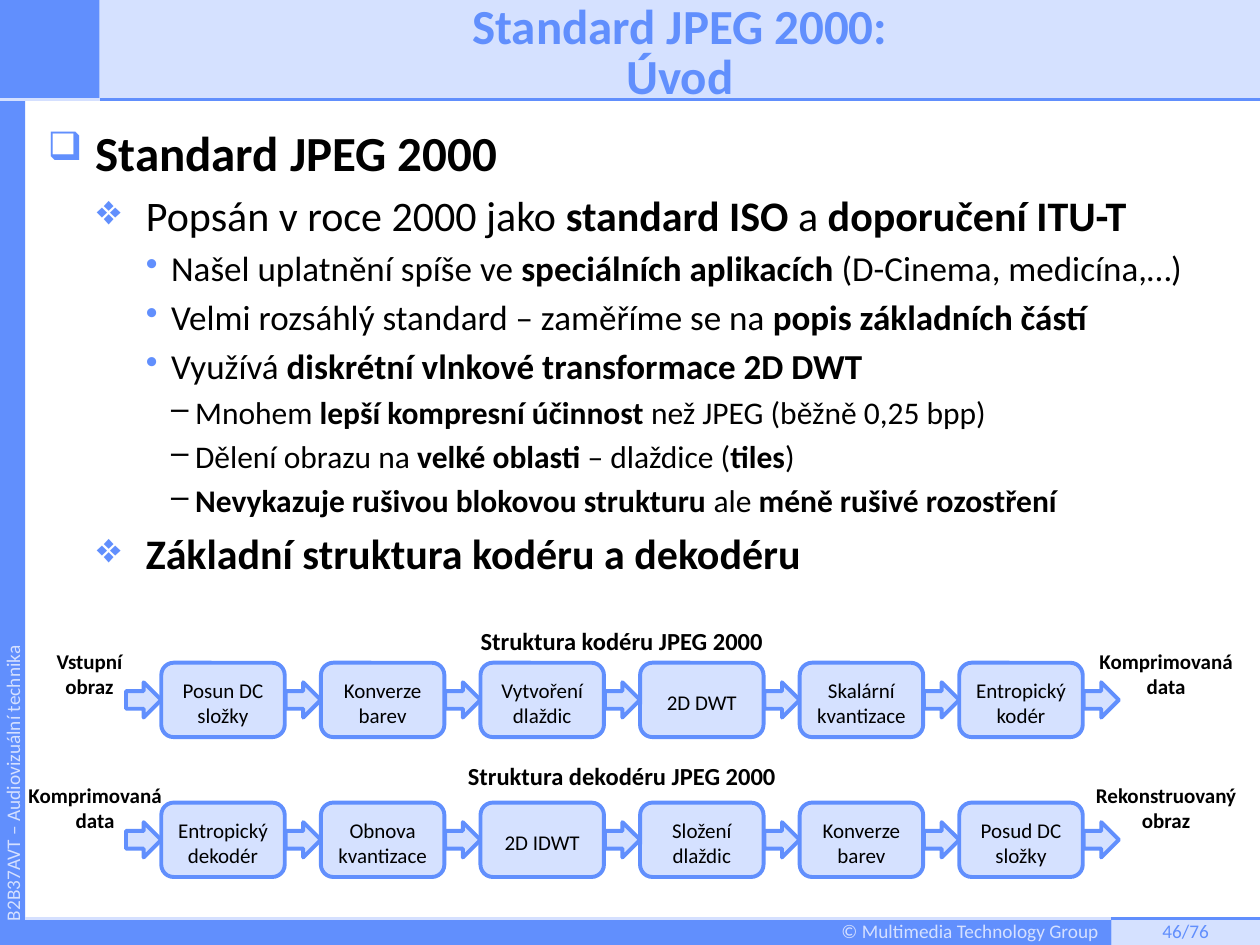
from lxml import etree
from pptx import Presentation
from pptx import util as u
from pptx.dml.color import RGBColor
from pptx.enum import shapes, text
from pptx.oxml import ns

HUE = {"blue": "618FFD", "pale": "D5E1FF", "soft": "D5E0FF", "ink": "000000"}
KIND = shapes.MSO_SHAPE
SIDE = text.PP_ALIGN
MID = text.MSO_ANCHOR.MIDDLE

deck = Presentation()
deck.slide_width, deck.slide_height = u.Inches(10), u.Inches(7.5)
page = deck.slides.add_slide(deck.slide_layouts[6])


def draw(kind, at, fill=None, edge=None):
    """Add a shape, or a text box when there is no kind."""
    spot = [u.Inches(n) for n in at]
    if kind is None:
        return page.shapes.add_textbox(*spot)
    form = page.shapes.add_shape(kind, *spot)
    form.shadow.inherit = False
    form.fill.solid()
    form.fill.fore_color.rgb = RGBColor.from_string(HUE[fill])
    if edge:
        form.line.color.rgb = RGBColor.from_string(HUE[edge])
        form.line.width = u.Pt(2.25)
    else:
        form.line.fill.background()
    return form


def write(form, words, size, hue="ink", bold=False, side=SIDE.CENTER,
          pad=(0.1, 0.05, 0.1, 0.05), hold=text.MSO_ANCHOR.TOP, wrap=True):
    """Fill a frame with one paragraph; a newline becomes a line break."""
    frame = form.text_frame
    frame.word_wrap = wrap
    frame.vertical_anchor = hold
    (frame.margin_left, frame.margin_top,
     frame.margin_right, frame.margin_bottom) = [u.Inches(n) for n in pad]
    para = frame.paragraphs[0]
    para.alignment = side
    for i, line in enumerate(words.split("\n")):
        if i:
            para.add_line_break()
        run = para.add_run()
        run.text = line
        run.font.name = "Calibri"
        run.font.size = u.Pt(size)
        run.font.bold = bold
        run.font.color.rgb = RGBColor.from_string(HUE[hue])
    return para


# Frame of the slide: header, footer and side bar
foot = (0.1, 0, 0.1, 0.02)
draw(KIND.RECTANGLE, (0, 0, 0.79, 0.79), "blue")
draw(KIND.RECTANGLE, (0.79, 0, 9.21, 0.79), "pale")
num = draw(KIND.RECTANGLE, (8.82, 7.3, 1.18, 0.2), "pale")
write(num, "46/76", 11, "blue", pad=foot, hold=MID)
base = draw(KIND.RECTANGLE, (0, 7.3, 8.82, 0.2), "blue")
write(base, "© Multimedia Technology Group", 11, "soft", side=SIDE.RIGHT,
      pad=foot, hold=MID, wrap=False)
bar = draw(KIND.RECTANGLE, (0, 0.79, 0.2, 6.52), "blue")
write(bar, "B2B37AVT – Audiovizuální technika", 11, "soft", side=SIDE.LEFT,
      pad=(0, 0, 0, 0), hold=MID)
bar.text_frame._txBody.bodyPr.set("vert", "vert270")

# Rules along header and footer
for left, right, y, hue in [(0.79, 10, 0.79, "blue"), (0, 0.79, 0.79, "soft"),
                            (8.82, 10, 7.29, "blue"), (0.2, 8.82, 7.29, "soft")]:
    rule = page.shapes.add_connector(
        shapes.MSO_CONNECTOR.STRAIGHT, u.Inches(left), u.Inches(y),
        u.Inches(right), u.Inches(y))
    rule.line.color.rgb = RGBColor.from_string(HUE[hue])
    rule.line.width = u.Pt(2)
    etree.SubElement(rule._element.spPr, ns.qn("a:effectLst"))

# Title
head = write(draw(None, (0.79, 0, 9.21, 0.79)), "Standard JPEG 2000:\nÚvod",
             28, "blue", True, pad=(0.1, 0.08, 0.1, 0), hold=MID)
head.line_spacing = 0.85

# Outline: size, left margin, hang, bullet, bullet colour for each level
ranks = [(28, 0.38, 0.38, "❑", "blue"), (24, 0.78, 0.39, "❖", "blue"),
         (20, 0.98, 0.2, "•", "blue"), (18, 1.17, 0.19, "–", "ink")]
# Pieces between bars are plain and bold in turn
points = [
    (0, "|Standard JPEG 2000"),
    (1, "Popsán v roce 2000 jako |standard ISO| a |doporučení ITU-T"),
    (2, "Našel uplatnění spíše ve |speciálních aplikacích| (D-Cinema, medicína,…)"),
    (2, "Velmi rozsáhlý standard – zaměříme se na |popis základních částí"),
    (2, "Využívá |diskrétní vlnkové transformace 2D DWT"),
    (3, "Mnohem |lepší kompresní účinnost |než JPEG (běžně 0,25 bpp)"),
    (3, "Dělení obrazu na |velké oblasti |– dlaždice (|tiles|)"),
    (3, "|Nevykazuje rušivou blokovou strukturu |ale |méně rušivé rozostření"),
    (1, "|Základní struktura kodéru a dekodéru"),
]
body = draw(None, (0.28, 0.92, 9.51, 6.38)).text_frame
body.word_wrap = True
for i, (rank, words) in enumerate(points):
    size, left, hang, mark, hue = ranks[rank]
    para = body.add_paragraph() if i else body.paragraphs[0]
    para.level = rank
    props = para._p.get_or_add_pPr()
    props.set("marL", str(u.Inches(left)))
    props.set("indent", str(-u.Inches(hang)))
    tint = etree.SubElement(props, ns.qn("a:buClr"))
    etree.SubElement(tint, ns.qn("a:srgbClr"), val=HUE[hue])
    if rank == 0:
        etree.SubElement(props, ns.qn("a:buSzPct"), val="80000")
    etree.SubElement(props, ns.qn("a:buChar"), char=mark)
    if i:
        para.space_before = u.Pt(size * 0.2)
    for turn, piece in enumerate(words.split("|")):
        if piece:
            run = para.add_run()
            run.text = piece
            run.font.name = "Calibri"
            run.font.size = u.Pt(size)
            run.font.bold = turn % 2 == 1
            run.font.color.rgb = RGBColor.from_string(HUE["ink"])

# Coder and decoder chains: top of boxes, steps
chains = [
    (5.26, ["Posun DC složky", "Konverze barev", "Vytvoření dlaždic",
            "2D DWT", "Skalární kvantizace", "Entropický kodér"]),
    (6.37, ["Entropický dekodér", "Obnova kvantizace", "2D IDWT",
            "Složení dlaždic", "Konverze barev", "Posud DC složky"]),
]
pitch = 7.6 / 6
for top, steps in chains:
    for i in range(len(steps) + 1):
        draw(KIND.RIGHT_ARROW, (1 + i * pitch, top + 0.155, 0.28, 0.28),
             "pale", "blue")
    for i, step in enumerate(steps):
        box = draw(KIND.ROUNDED_RECTANGLE, (1.28 + i * pitch, top, 0.98, 0.59),
                   "pale", "blue")
        write(box, step, 12, pad=(0.1, 0.04, 0.1, 0), hold=MID)

# Labels of the chains
for at, words, size in [
    ((0.24, 5.1, 0.94, 0.5), "Vstupní obraz", 12),
    ((8.61, 5.1, 1.29, 0.5), "Komprimovaná data", 12),
    ((0.11, 6.16, 1.29, 0.5), "Komprimovaná data", 12),
    ((8.51, 6.16, 1.49, 0.5), "Rekonstruovaný obraz", 12),
    ((3.53, 4.92, 2.81, 0.34), "Struktura kodéru JPEG 2000", 14),
    ((3.53, 5.99, 2.81, 0.34), "Struktura dekodéru JPEG 2000", 14),
]:
    write(draw(None, at), words, size, bold=True)

deck.save("out.pptx")
